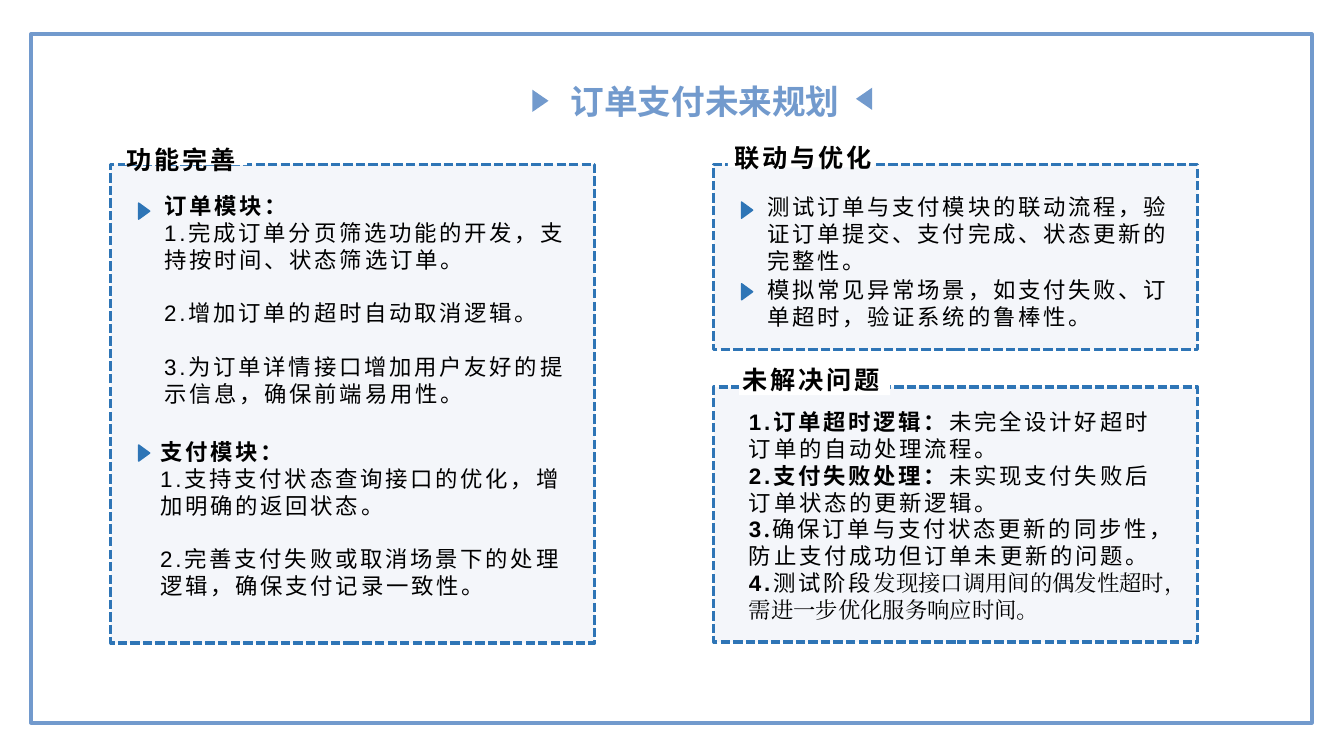
from dataclasses import dataclass

from pptx import Presentation
from pptx.dml.color import RGBColor
from pptx.enum.dml import MSO_LINE
from pptx.enum.shapes import MSO_SHAPE
from pptx.enum.text import MSO_ANCHOR, MSO_AUTO_SIZE, PP_ALIGN
from pptx.oxml.ns import qn
from pptx.oxml.xmlchemy import OxmlElement
from pptx.shapes.autoshape import Shape
from pptx.slide import Slide
from pptx.text.text import TextFrame
from pptx.util import Emu, Pt

RECTANGLE = MSO_SHAPE.RECTANGLE
TRIANGLE = MSO_SHAPE.ISOSCELES_TRIANGLE
DASH = MSO_LINE.SQUARE_DOT
TOP = MSO_ANCHOR.TOP
LEFT = PP_ALIGN.LEFT
NO_AUTOSIZE = MSO_AUTO_SIZE.NONE

LIGHT_BLUE = RGBColor(0x72, 0x9A, 0xCD)
DARK_BLUE = RGBColor(0x2E, 0x75, 0xB6)
PANEL_FILL = RGBColor(0xF4, 0xF6, 0xFA)
WHITE = RGBColor(0xFF, 0xFF, 0xFF)
BLACK = RGBColor(0x00, 0x00, 0x00)

EMU_PER_PX = 9144  # 100 px to the inch
SANS, SERIF, TITLE_FONT = "Arial", "Times New Roman", "Noto Sans CJK SC"
SPACED = 2
ITEM_GAP = 19


@dataclass(frozen=True)
class Box:
    left: int
    top: int
    width: int
    height: int


@dataclass(frozen=True)
class Span:
    text: str
    bold: bool = False
    font: str = SANS
    size: int = 16
    color: RGBColor = BLACK
    spacing: int = SPACED


@dataclass(frozen=True)
class Para:
    spans: tuple[Span, ...]
    gap: int = 0


@dataclass(frozen=True)
class Body:
    box: Box
    paras: tuple[Para, ...]


@dataclass(frozen=True)
class Panel:
    box: Box
    heading: str
    heading_box: Box
    heading_patch: Box
    bodies: tuple[Body, ...]
    markers: tuple[Box, ...] = ()


def line_of(text: str, bold: bool = False, gap: int = 0) -> Para:
    return Para((Span(text, bold),), gap)


def marker_at(left: int, top: int) -> Box:
    return Box(left, top, 16, 11)


FRAME = Box(31, 34, 1270, 683)
TITLE_BOX = Box(556, 75, 287, 50)
TITLE = Para((Span("订单支付未来规划", True, TITLE_FONT, 24, LIGHT_BLUE, 0),))
TITLE_MARKERS = ((Box(525, 92, 22, 16), 90), (Box(846, 90, 22, 16), 270))

PANELS = (
    Panel(
        Box(110, 163, 480, 475), "功能完善",
        Box(116, 138, 145, 40), Box(124, 148, 121, 16),
        (
            Body(Box(153, 186, 437, 226), (
                line_of("订单模块：", bold=True),
                line_of("1.完成订单分页筛选功能的开发，支持按时间、状态筛选订单。"),
                line_of("2.增加订单的超时自动取消逻辑。", gap=ITEM_GAP),
                line_of("3.为订单详情接口增加用户友好的提示信息，确保前端易用性。", gap=ITEM_GAP),
            )),
            Body(Box(149, 430, 437, 172), (
                line_of("支付模块：", bold=True),
                line_of("1.支持支付状态查询接口的优化，增加明确的返回状态。"),
                line_of("2.完善支付失败或取消场景下的处理逻辑，确保支付记录一致性。", gap=ITEM_GAP),
            )),
        ),
        (marker_at(135, 204), marker_at(135, 444)),
    ),
    Panel(
        Box(708, 163, 480, 184), "联动与优化",
        Box(719, 136, 188, 40), Box(722, 148, 145, 18),
        (
            Body(Box(751, 187, 430, 91), (
                line_of("测试订单与支付模块的联动流程，验证订单提交、支付完成、状态更新的完整性。"),
            )),
            Body(Box(751, 269, 437, 64), (
                line_of("模拟常见异常场景，如支付失败、订单超时，验证系统的鲁棒性。"),
            )),
        ),
        (marker_at(733, 203), marker_at(733, 284)),
    ),
    Panel(
        Box(708, 384, 480, 253), "未解决问题",
        Box(727, 357, 178, 40), Box(733, 371, 150, 21),
        (
            Body(Box(733, 400, 437, 226), (
                Para((Span("1.订单超时逻辑：", True),
                      Span("未完全设计好超时订单的自动处理流程。"))),
                Para((Span("2.支付失败处理：", True),
                      Span("未实现支付失败后订单状态的更新逻辑。"))),
                Para((Span("3", True), Span(".", True, SERIF),
                      Span("确保订单与支付状态更新的同步性，防止支付成功但订单未更新的问题。"))),
                Para((Span("4.", True), Span("测试阶段"),
                      Span("发现接口调用间的偶发性超时，需进一步优化服务响应时间。",
                           font=SERIF, spacing=0))),
            )),
        ),
    ),
)


def px(length: int) -> Emu:
    return Emu(length * EMU_PER_PX)


def placed(box: Box) -> tuple[Emu, Emu, Emu, Emu]:
    return px(box.left), px(box.top), px(box.width), px(box.height)


def add_plain_shape(slide: Slide, kind: MSO_SHAPE, box: Box,
                    fill: RGBColor | None = None, line: RGBColor | None = None,
                    weight: float = 1) -> Shape:
    shape = slide.shapes.add_shape(kind, *placed(box))
    shape.shadow.inherit = False
    if fill is None:
        shape.fill.background()
    else:
        shape.fill.solid()
        shape.fill.fore_color.rgb = fill
    if line is None:
        shape.line.fill.background()
    else:
        shape.line.color.rgb = line
        shape.line.width = Pt(weight)
    return shape


def write_paras(frame: TextFrame, paras: tuple[Para, ...], wrap: bool = True) -> None:
    frame.word_wrap = wrap
    frame.auto_size = NO_AUTOSIZE
    frame.vertical_anchor = TOP
    for index, para in enumerate(paras):
        paragraph = frame.paragraphs[0] if index == 0 else frame.add_paragraph()
        paragraph.alignment = LEFT
        paragraph.space_before = Pt(para.gap)
        for span in para.spans:
            run = paragraph.add_run()
            run.text = span.text
            run.font.name = span.font
            run.font.size = Pt(span.size)
            run.font.bold = span.bold
            run.font.color.rgb = span.color
            properties = run.font._element
            properties.set("lang", "zh-CN")
            properties.set("spc", str(span.spacing * 100))
            east_asian = OxmlElement("a:ea")
            east_asian.set("typeface", span.font)
            properties.find(qn("a:latin")).addnext(east_asian)


def add_text(slide: Slide, box: Box, paras: tuple[Para, ...]) -> None:
    write_paras(slide.shapes.add_textbox(*placed(box)).text_frame, paras)


def add_title(slide: Slide) -> None:
    title = slide.shapes.title
    title.left, title.top, title.width, title.height = placed(TITLE_BOX)
    write_paras(title.text_frame, (TITLE,), wrap=False)
    for box, angle in TITLE_MARKERS:
        add_plain_shape(slide, TRIANGLE, box, LIGHT_BLUE).rotation = angle


def add_panel(slide: Slide, panel: Panel) -> None:
    outline = add_plain_shape(slide, RECTANGLE, panel.box, PANEL_FILL, DARK_BLUE, 2.25)
    outline.line.dash_style = DASH
    add_plain_shape(slide, RECTANGLE, panel.heading_patch, WHITE)
    add_text(slide, panel.heading_box, (Para((Span(panel.heading, True, size=18),)),))
    for body in panel.bodies:
        add_text(slide, body.box, body.paras)
    for box in panel.markers:
        add_plain_shape(slide, TRIANGLE, box, DARK_BLUE, DARK_BLUE).rotation = 90


def main() -> None:
    deck = Presentation()
    deck.slide_width, deck.slide_height = px(1333), px(750)
    slide = deck.slides.add_slide(deck.slide_layouts[5])
    add_plain_shape(slide, RECTANGLE, FRAME, line=LIGHT_BLUE, weight=3)
    for panel in PANELS:
        add_panel(slide, panel)
    add_title(slide)
    deck.save("out.pptx")


if __name__ == "__main__":
    main()
